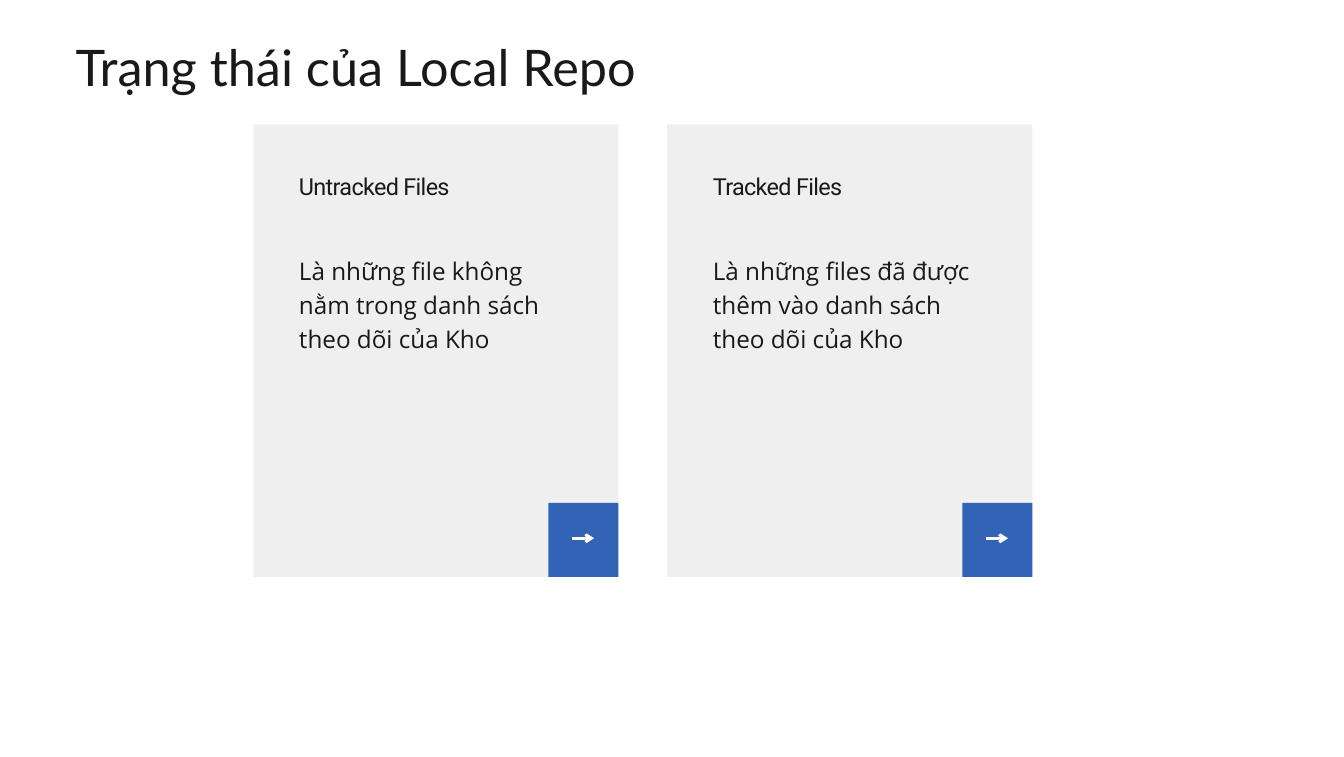
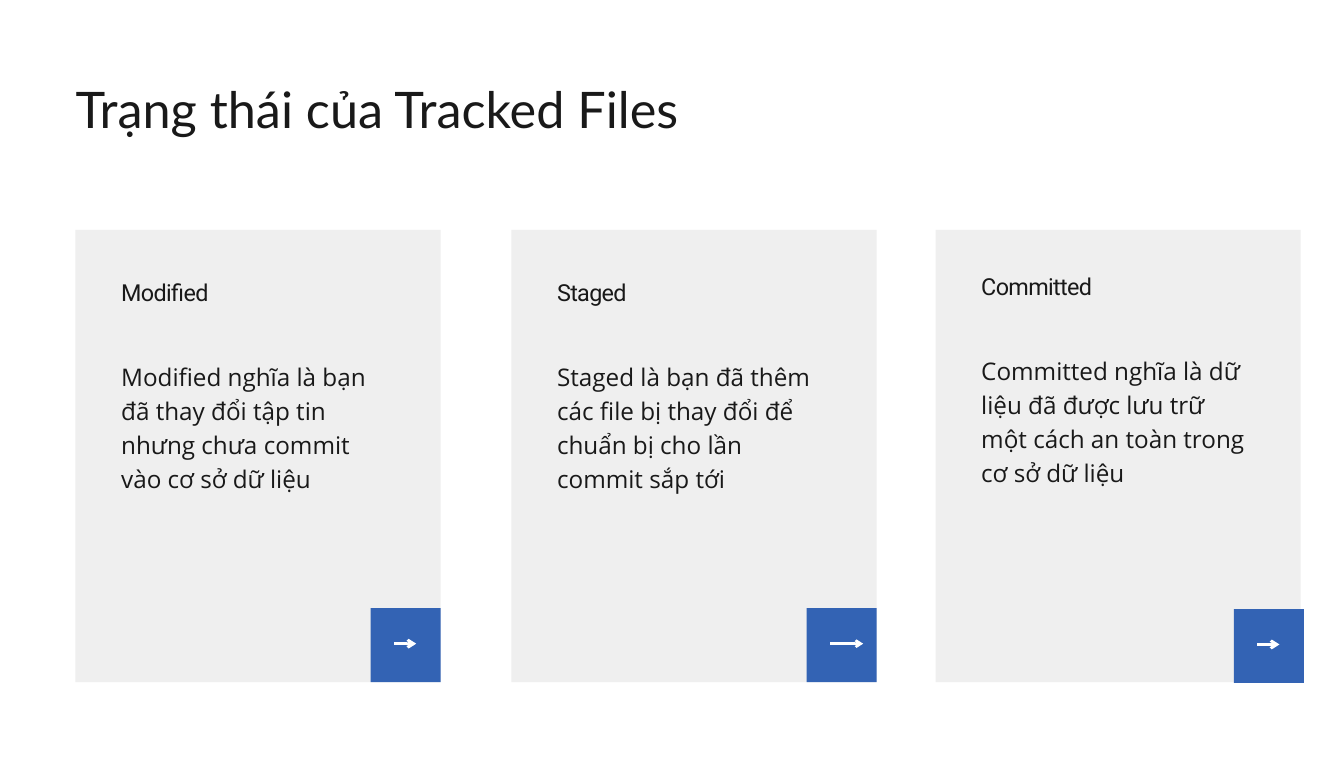
from dataclasses import dataclass
from lxml.etree import SubElement
from pptx import Presentation
from pptx.dml.color import RGBColor
from pptx.enum.shapes import MSO_CONNECTOR, MSO_SHAPE
from pptx.enum.text import MSO_ANCHOR, MSO_AUTO_SIZE, PP_ALIGN
from pptx.oxml.ns import qn
from pptx.util import Inches, Pt


@dataclass(frozen=True)
class Style:
    font: str
    size: float
    lead: float
    track: int = 0


@dataclass(frozen=True)
class Theme:
    ink: str = "191919"
    card: str = "EFEFEF"
    blue: str = "3363B4"
    white: str = "FFFFFF"
    title: Style = Style("Lato", 46.1, 60)
    head: Style = Style("Roboto", 21.4, 27.8, -60)
    body: Style = Style("Open Sans", 22.2, 31.1)


@dataclass(frozen=True)
class Card:
    left: float
    head: str
    body: str
    lift: float = 0
    nudge: tuple = (0, 0)
    reach: float = 0.28
    line: float = 2.56


SLIDES = [
    ("Trạng thái của Local Repo", 0.39, 1.58, [
        Card(3.22, "Untracked Files",
             "Là những file không nằm trong danh sách theo dõi của Kho"),
        Card(8.48, "Tracked Files",
             "Là những files đã được thêm vào danh sách theo dõi của Kho"),
    ]),
    ("Trạng thái của Tracked Files", 0.93, 2.92, [
        Card(0.96, "Modified",
             "Modified nghĩa là bạn đã thay đổi tập tin nhưng chưa commit vào cơ sở dữ liệu"),
        Card(6.5, "Staged",
             "Staged là bạn đã thêm các file bị thay đổi để chuẩn bị cho lần commit sắp tới",
             reach=0.42, line=2.25),
        Card(11.89, "Committed",
             "Committed nghĩa là dữ liệu đã được lưu trữ một cách an toàn trong cơ sở dữ liệu",
             lift=0.07, nudge=(0.04, 0.01)),
    ]),
]
THEME = Theme()
WIDE, HIGH = 17.08, 9.62
CARD_W, CARD_H = 4.64, 5.75
KEY_W, KEY_H = 0.89, 0.94
PAD = 0.58
TEXT_W = 3.47


def color(code):
    return RGBColor.from_string(code)


def write(shape, text, style):
    frame = shape.text_frame
    frame.word_wrap = True
    frame.auto_size = MSO_AUTO_SIZE.NONE
    frame.vertical_anchor = MSO_ANCHOR.TOP
    frame.margin_left = frame.margin_right = 0
    frame.margin_top = frame.margin_bottom = 0
    para = frame.paragraphs[0]
    para.alignment = PP_ALIGN.LEFT
    para.line_spacing = Pt(style.lead)
    run = para.add_run()
    run.text = text
    font = run.font
    font.name, font.size = style.font, Pt(style.size)
    font.color.rgb = color(THEME.ink)
    if style.track:
        font._element.set("spc", str(style.track))


def block(slide, x, y, w, h, fill):
    shape = slide.shapes.add_shape(
        MSO_SHAPE.RECTANGLE, Inches(x), Inches(y), Inches(w), Inches(h))
    shape.shadow.inherit = False
    shape.fill.solid()
    shape.fill.fore_color.rgb = color(fill)
    shape.line.fill.background()


def label(slide, x, y, h, text, style):
    box = slide.shapes.add_textbox(Inches(x), Inches(y), Inches(TEXT_W), Inches(h))
    write(box, text, style)


def arrow(slide, x, y, reach, width):
    link = slide.shapes.add_connector(
        MSO_CONNECTOR.STRAIGHT, Inches(x), Inches(y), Inches(x + reach), Inches(y))
    link.line.color.rgb = color(THEME.white)
    link.line.width = Pt(width)
    SubElement(link.line._get_or_add_ln(), qn("a:tailEnd"), type="arrow")
    SubElement(link._element.spPr, qn("a:effectLst"))


def draw(slide, card, top):
    block(slide, card.left, top, CARD_W, CARD_H, THEME.card)
    key_x = card.left + CARD_W - KEY_W + card.nudge[0]
    key_y = top + CARD_H - KEY_H + card.nudge[1]
    block(slide, key_x, key_y, KEY_W, KEY_H, THEME.blue)
    arrow(slide, key_x + 0.3, key_y + 0.45, card.reach, card.line)
    text_x, text_y = card.left + PAD, top + PAD - card.lift
    label(slide, text_x, text_y, 0.37, card.head, THEME.head)
    label(slide, text_x, text_y + 1.04, 1.69, card.body, THEME.body)


def main():
    deck = Presentation()
    deck.slide_width, deck.slide_height = Inches(WIDE), Inches(HIGH)
    for name, title_y, top, cards in SLIDES:
        slide = deck.slides.add_slide(deck.slide_layouts[5])
        title = slide.shapes.title
        title.left, title.top = Inches(0.96), Inches(title_y)
        title.width, title.height = Inches(9.9), Inches(0.81)
        write(title, name, THEME.title)
        for card in cards:
            draw(slide, card, top)
    deck.save("out.pptx")


if __name__ == "__main__":
    main()
